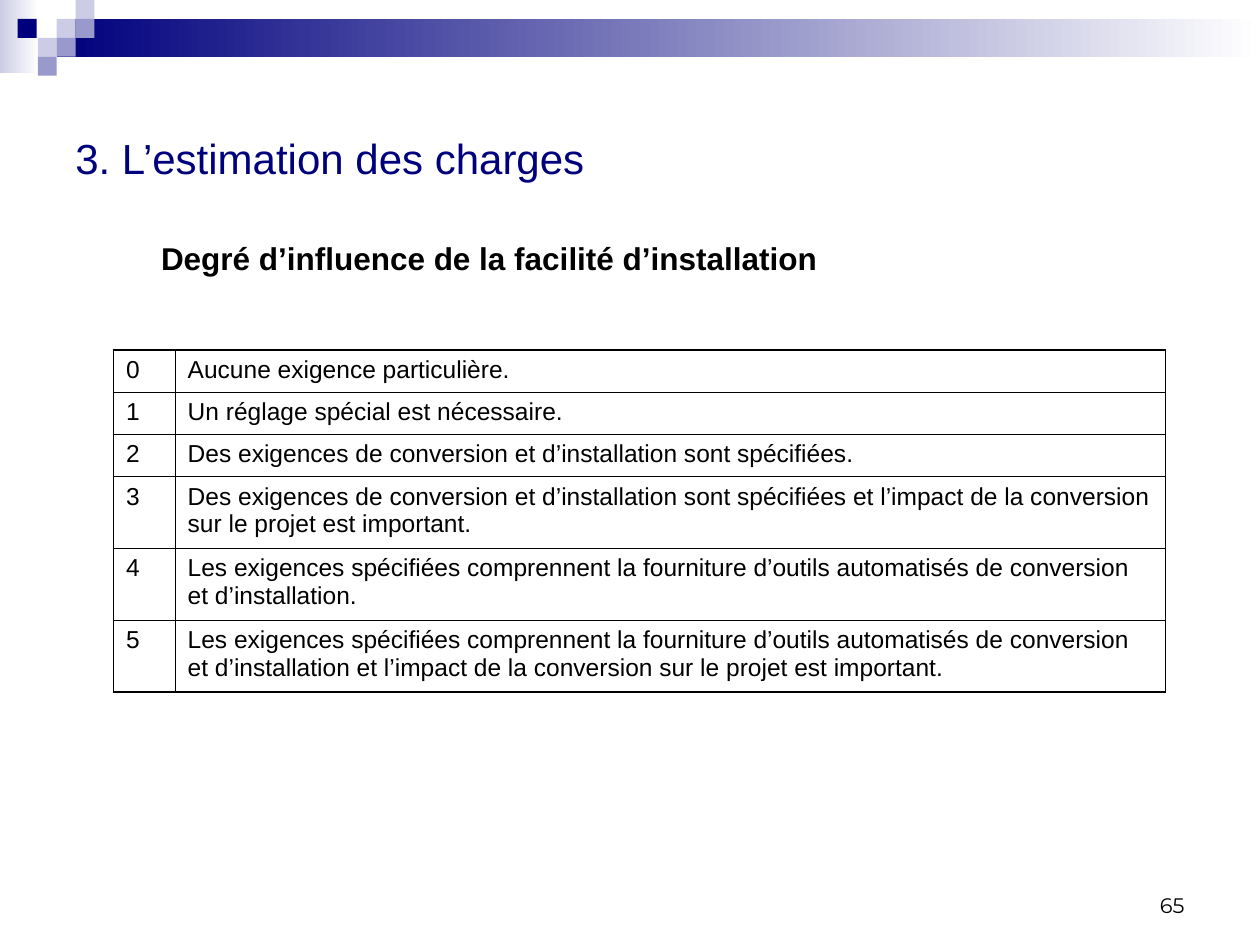
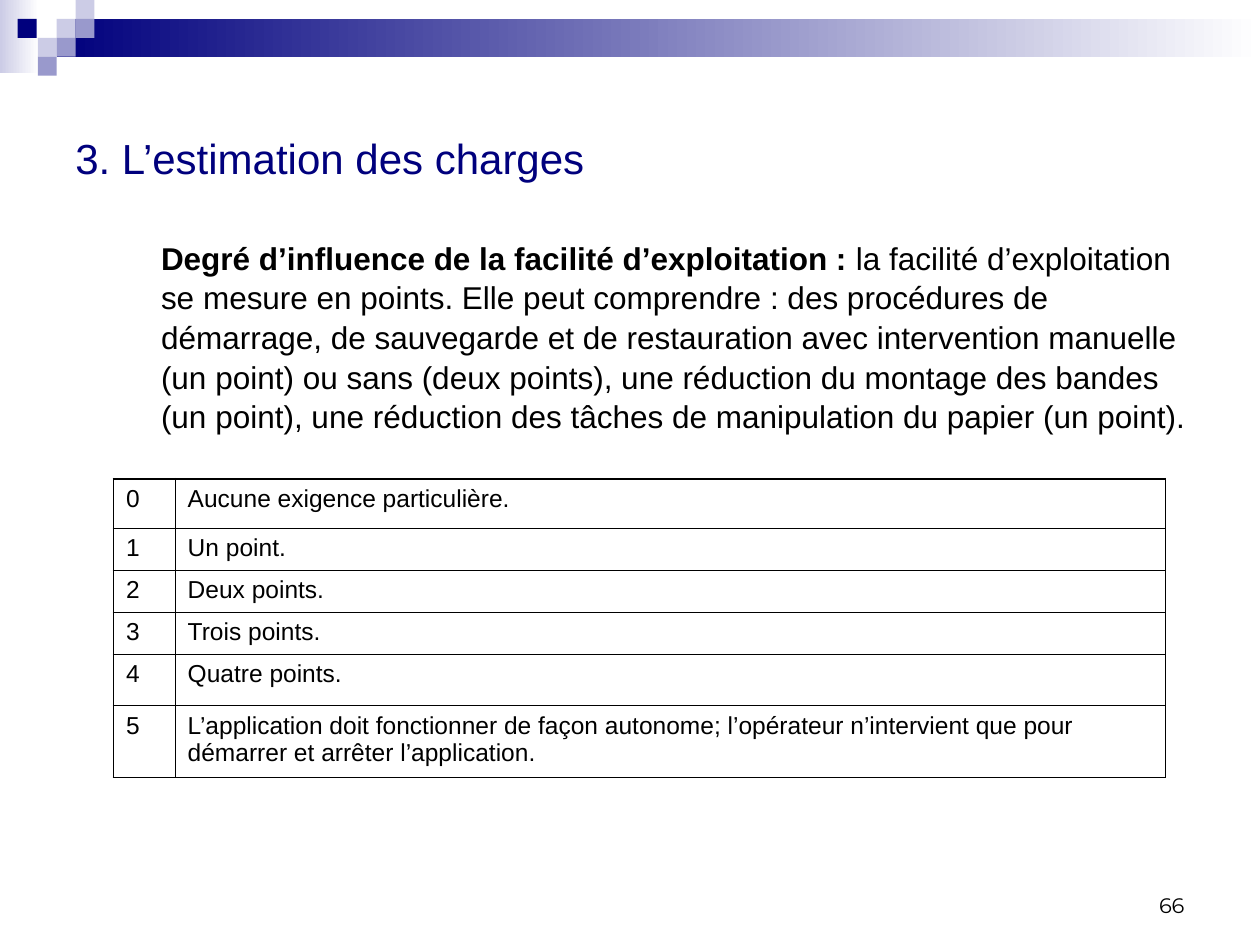
from lxml import etree
from pptx import Presentation
from pptx.dml.color import RGBColor
from pptx.enum.shapes import MSO_SHAPE
from pptx.enum.text import MSO_ANCHOR, PP_ALIGN
from pptx.oxml.ns import qn
from pptx.util import Inches, Pt

RECT = MSO_SHAPE.RECTANGLE
TOP, MID, LOW = MSO_ANCHOR.TOP, MSO_ANCHOR.MIDDLE, MSO_ANCHOR.BOTTOM
LEFT, RIGHT = PP_ALIGN.LEFT, PP_ALIGN.RIGHT

# Content: each lead is a list of (text, bold) runs
TITLE = "3. L’estimation des charges"
PAGES = [
    {
        "num": "65",
        "lead": [("Degré d’influence de la facilité d’installation", True)],
        "top": 2.78,
        "rows": [
            (0.33, "Aucune exigence particulière."),
            (0.33, "Un réglage spécial est nécessaire."),
            (0.33, "Des exigences de conversion et d’installation sont spécifiées."),
            (0.57, "Des exigences de conversion et d’installation sont spécifiées "
                   "et l’impact de la conversion sur le projet est important."),
            (0.57, "Les exigences spécifiées comprennent la fourniture d’outils "
                   "automatisés de conversion et d’installation."),
            (0.57, "Les exigences spécifiées comprennent la fourniture d’outils "
                   "automatisés de conversion et d’installation et l’impact de la "
                   "conversion sur le projet est important."),
        ],
    },
    {
        "num": "66",
        "lead": [
            ("Degré d’influence de la facilité d’exploitation : ", True),
            ("la facilité d’exploitation se mesure en points. Elle peut "
             "comprendre : des procédures de démarrage, de sauvegarde et de "
             "restauration avec intervention manuelle (un point) ou sans (deux "
             "points), une réduction du montage des bandes (un point), une "
             "réduction des tâches de manipulation du papier (un point).", False),
        ],
        "top": 3.8,
        "rows": [
            (0.39, "Aucune exigence particulière."),
            (0.33, "Un point."),
            (0.33, "Deux points."),
            (0.33, "Trois points."),
            (0.41, "Quatre points."),
            (0.57, "L’application doit fonctionner de façon autonome; l’opérateur "
                   "n’intervient que pour démarrer et arrêter l’application."),
        ],
    },
]

# Shared style
COLORS = {"navy": "00007D", "mid": "9999CC", "pale": "CCCCE6",
          "white": "FFFFFF", "black": "000000"}
BANDS = [((0, 0, 0.31, 0.58), "pale"), ((0.45, 0.15, 9.55, 0.3), "navy")]
SIDE = 0.15
TILES = [(0.45, 0.15, "pale"), (0.6, 0, "pale"), (0.6, 0.15, "mid"),
         (0.3, 0.3, "pale"), (0.14, 0.15, "navy"), (0.45, 0.3, "mid"),
         (0.3, 0.45, "mid")]
COLS = (0.49, 7.86)
THICK, THIN = 1.08, 0.45


def rgb(name):
    return RGBColor.from_string(COLORS[name])


def write(frame, text, size=14, font="Arial", color="black", align=LEFT,
          indent=0, space=None):
    """Fill a text frame with a string or a list of (text, bold) runs."""
    frame.word_wrap = True
    para = frame.paragraphs[0]
    para.alignment = align
    para.line_spacing = space
    if indent:
        para._p.get_or_add_pPr().set("marL", str(Inches(indent)))
    for part, bold in [(text, False)] if isinstance(text, str) else text:
        run = para.add_run()
        run.text = part
        run.font.size = Pt(size)
        run.font.name = font
        run.font.bold = bold
        run.font.color.rgb = rgb(color)


def add_text(slide, box, text, anchor=TOP, **style):
    frame = slide.shapes.add_textbox(*map(Inches, box)).text_frame
    frame.vertical_anchor = anchor
    write(frame, text, **style)


def add_rect(slide, box, color, fade=False):
    shape = slide.shapes.add_shape(RECT, *map(Inches, box))
    shape.shadow.inherit = False
    shape.line.fill.background()
    if fade:
        shape.fill.gradient()
        shape.fill.gradient_angle = 0
        for stop, name in zip(shape.fill.gradient_stops, (color, "white")):
            stop.color.rgb = rgb(name)
    else:
        shape.fill.solid()
        shape.fill.fore_color.rgb = rgb(color)


def add_edges(cell, widths):
    """Draw the left, right, top and bottom borders of a cell."""
    props = cell._tc.get_or_add_tcPr()
    for side, width in zip("LRTB", widths):
        line = etree.SubElement(props, qn(f"a:ln{side}"), w=str(Pt(width)))
        fill = etree.SubElement(line, qn("a:solidFill"))
        etree.SubElement(fill, qn("a:srgbClr"), val=COLORS["black"])


def add_grid(slide, top, rows):
    """Draw the scale from 0 upwards, with a thick outer frame."""
    high = sum(height for height, _ in rows)
    box = (0.9, top, sum(COLS), high)
    grid = slide.shapes.add_table(len(rows), len(COLS), *map(Inches, box)).table
    grid.first_row = grid.horz_banding = False
    for col, width in zip(grid.columns, COLS):
        col.width = Inches(width)
    for r, (height, text) in enumerate(rows):
        grid.rows[r].height = Inches(height)
        for c, value in enumerate((str(r), text)):
            cell = grid.cell(r, c)
            outer = (c == 0, c == len(COLS) - 1, r == 0, r == len(rows) - 1)
            add_edges(cell, [THICK if edge else THIN for edge in outer])
            cell.fill.background()
            write(cell.text_frame, value)


def add_frame(slide, num):
    """Draw the header band, the page number and the title."""
    for box, color in BANDS:
        add_rect(slide, box, color, fade=True)
    for x, y, color in TILES:
        add_rect(slide, (x, y, SIDE, SIDE), color)
    add_text(slide, (7.17, 6.83, 2.33, 0.5), num, anchor=LOW, size=12,
             font="Montserrat", align=RIGHT)
    add_text(slide, (0.5, 0.5, 9, 1.5), TITLE, anchor=MID, size=24, color="navy")


def main():
    deck = Presentation()
    deck.slide_width, deck.slide_height = Inches(10), Inches(7.5)
    for page in PAGES:
        slide = deck.slides.add_slide(deck.slide_layouts[6])
        add_frame(slide, page["num"])
        add_text(slide, (0.51, 1.83, 9.13, 5.62), page["lead"], size=18,
                 indent=0.67, space=1.05)
        add_grid(slide, page["top"], page["rows"])
    deck.save("out.pptx")


if __name__ == "__main__":
    main()
